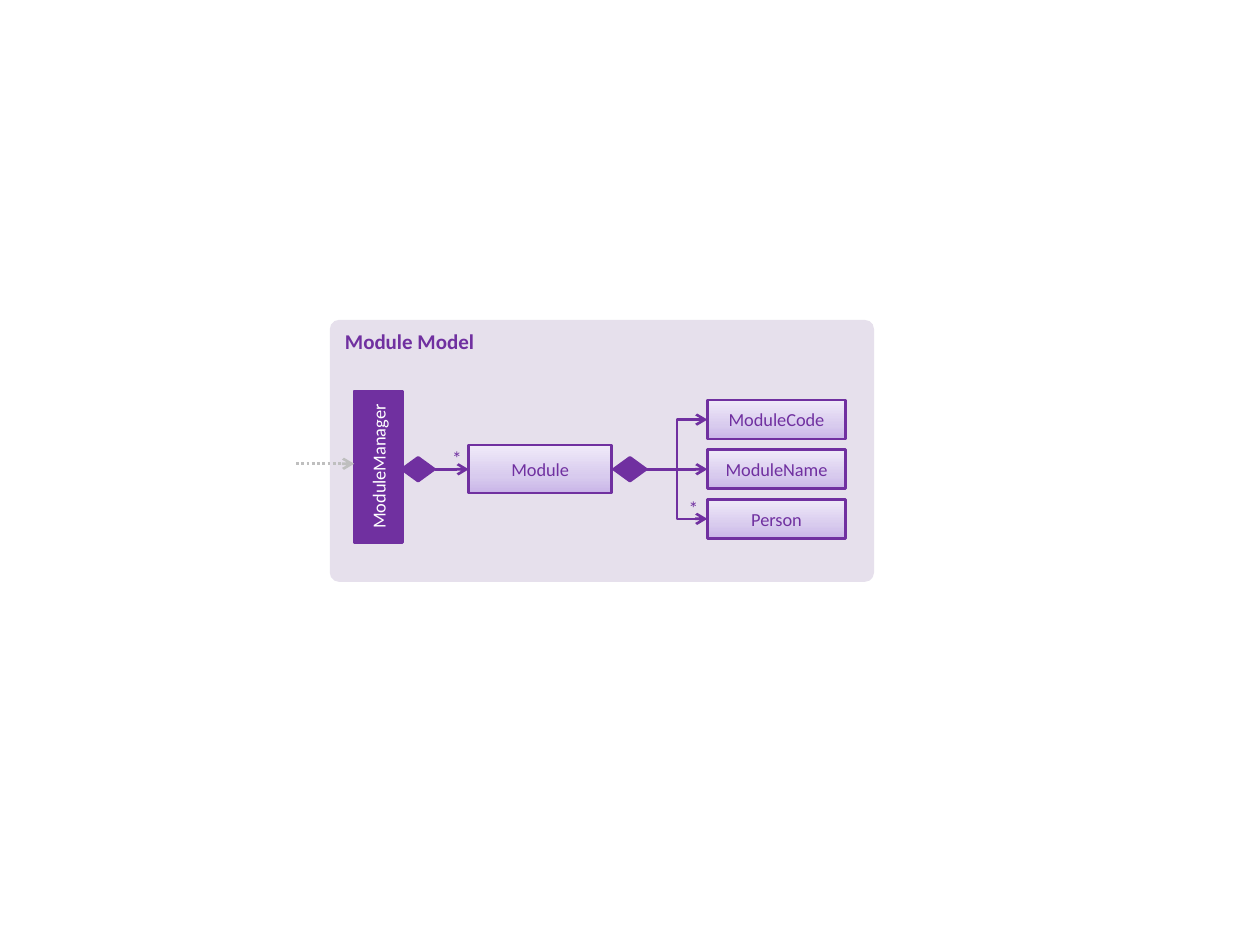
"""Draw the class diagram of the Module Model component."""
from copy import deepcopy

from lxml import etree
from pptx import Presentation
from pptx import util as u
from pptx.dml.color import RGBColor
from pptx.enum import dml, shapes, text
from pptx.oxml import ns

COLOURS = {
    "purple": "7030A0",
    "panel": "E6E0EC",
    "white": "FFFFFF",
    "grey": "BFBFBF",
}
GRADIENT = [(0, "C9B5E8"), (0.35, "D8CBEE"), (1, "F0EAF9")]
FONT = "Calibri"
SHAPE = shapes.MSO_SHAPE
ALIGN = text.PP_ALIGN
ANCHOR = text.MSO_ANCHOR
LINE_WIDTH = u.Pt(1.5)


def rgb(name):
    """Return the colour stored under a name."""
    return RGBColor.from_string(COLOURS[name])


def write(frame, wording, size, colour, align=ALIGN.CENTER, bold=False):
    """Put one formatted paragraph into a text frame."""
    frame.text = wording
    frame.word_wrap = True
    paragraph = frame.paragraphs[0]
    paragraph.alignment = align
    font = paragraph.runs[0].font
    font.name, font.size, font.bold = FONT, u.Pt(size), bold
    font.color.rgb = rgb(colour)


def add_block(slide, kind, left, top, width, height, fill="purple", outlined=True):
    """Add a filled shape, placed in centimetres."""
    block = slide.shapes.add_shape(kind, u.Cm(left), u.Cm(top), u.Cm(width), u.Cm(height))
    block.shadow.inherit = False
    block.fill.solid()
    block.fill.fore_color.rgb = rgb(fill)
    if outlined:
        block.line.color.rgb = rgb("purple")
        block.line.width = LINE_WIDTH
    else:
        block.line.fill.background()
    return block


def shade(block):
    """Fill a shape with the lilac gradient, darkest at the bottom."""
    block.fill.gradient()
    block.fill.gradient_angle = 90
    stop_list = block.fill._fill._gradFill.gsLst
    stop_list.append(deepcopy(stop_list[0]))
    for stop, (position, colour) in zip(block.fill.gradient_stops, GRADIENT):
        stop.position = position
        stop.color.rgb = RGBColor.from_string(colour)


def add_class(slide, name, left, top, width, height):
    """Add a gradient class box with its name."""
    box = add_block(slide, SHAPE.RECTANGLE, left, top, width, height)
    shade(box)
    box.text_frame.vertical_anchor = ANCHOR.MIDDLE
    write(box.text_frame, name, 10.5, "purple")


def add_arrow(slide, kind, start, end, colour="purple", dash=None):
    """Add a connector with an open arrowhead at its end."""
    arrow = slide.shapes.add_connector(kind, *(u.Cm(value) for value in start + end))
    arrow.line.color.rgb = rgb(colour)
    arrow.line.width = LINE_WIDTH
    if dash:
        arrow.line.dash_style = dash
    etree.SubElement(arrow.line._get_or_add_ln(), ns.qn("a:tailEnd"), type="arrow")
    etree.SubElement(arrow._element.spPr, ns.qn("a:effectLst"))


def add_multiplicity(slide, left, top):
    """Add a star that marks a to-many association."""
    label = slide.shapes.add_textbox(u.Cm(left), u.Cm(top), u.Cm(0.48), u.Cm(0.38))
    frame = label.text_frame
    frame.margin_left = frame.margin_right = frame.margin_top = frame.margin_bottom = 0
    write(frame, "*", 11, "purple")


def add_panel(slide):
    """Add the rounded panel with the component title."""
    panel = add_block(slide, SHAPE.ROUNDED_RECTANGLE, 6.65, 6.45, 10.97, 5.28, "panel", False)
    panel.adjustments[0] = 0.035
    panel.text_frame.vertical_anchor = ANCHOR.TOP
    write(panel.text_frame, "Module Model", 12, "purple", ALIGN.LEFT, True)


def add_manager(slide):
    """Add the upright ModuleManager box."""
    manager = add_block(slide, SHAPE.RECTANGLE, 6.1, 8.92, 3.05, 0.97)
    manager.rotation = 270
    manager.text_frame.vertical_anchor = ANCHOR.MIDDLE
    write(manager.text_frame, "ModuleManager", 10.5, "white")


def main():
    """Build and save the slide."""
    deck = Presentation()
    deck.slide_width, deck.slide_height = u.Cm(25.4), u.Cm(19.05)
    slide = deck.slides.add_slide(deck.slide_layouts[6])
    straight, elbow = shapes.MSO_CONNECTOR.STRAIGHT, shapes.MSO_CONNECTOR.ELBOW
    axis = 9.46

    add_panel(slide)
    add_manager(slide)
    add_arrow(slide, elbow, (5.97, 9.35), (7.14, 9.35), "grey", dml.MSO_LINE.ROUND_DOT)
    add_arrow(slide, straight, (8.76, axis), (9.45, axis))
    add_class(slide, "Module", 9.45, 8.97, 2.88, 0.97)

    part_left, part_height, pitch = 14.26, 0.79, 1
    for row, name in enumerate(["ModuleCode", "ModuleName", "Person"], start=-1):
        middle = axis + row * pitch
        add_class(slide, name, part_left, middle - part_height / 2, 2.79, part_height)
        add_arrow(slide, elbow, (13.03, axis), (part_left, middle))

    for diamond_left in (8.1, 12.37):
        add_block(slide, SHAPE.FLOWCHART_DECISION, diamond_left, axis - 0.24, 0.66, 0.48)
    for star_left, star_top in ((8.97, 8.99), (13.74, 10.01)):
        add_multiplicity(slide, star_left, star_top)

    deck.save("out.pptx")


if __name__ == "__main__":
    main()
